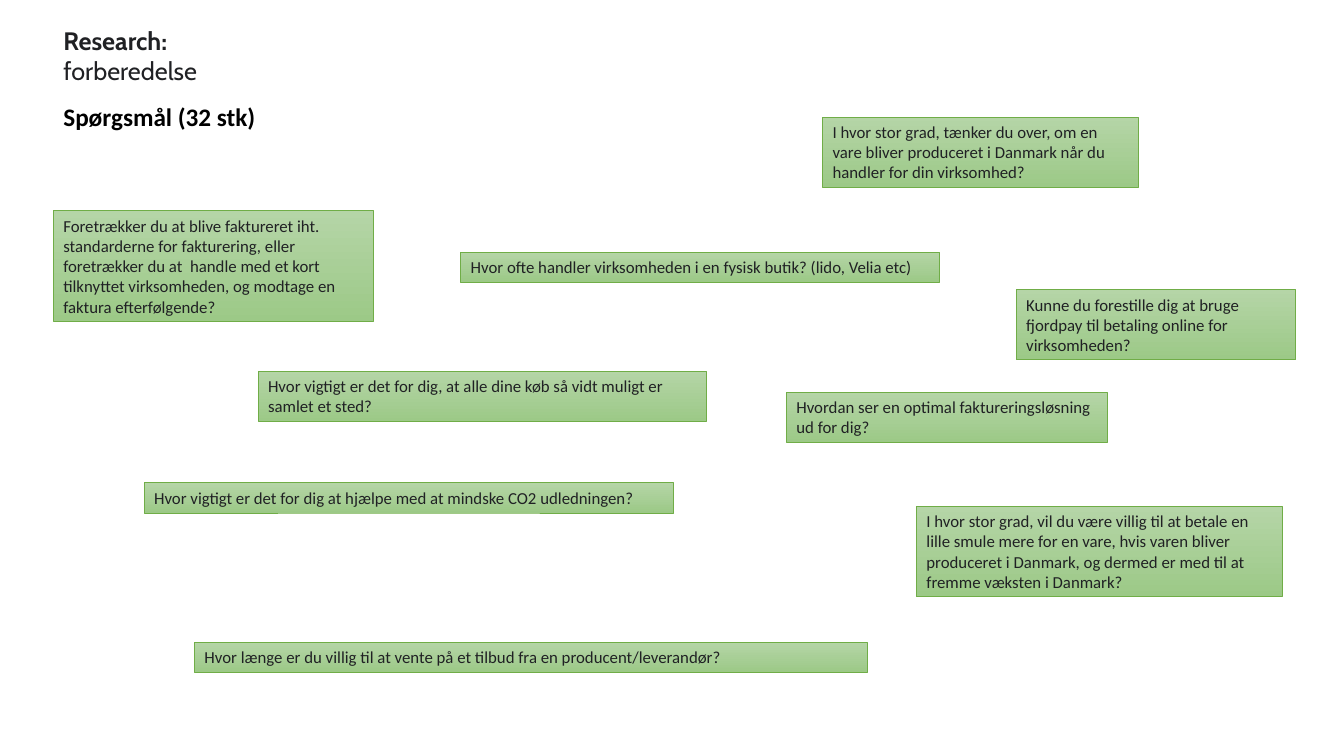
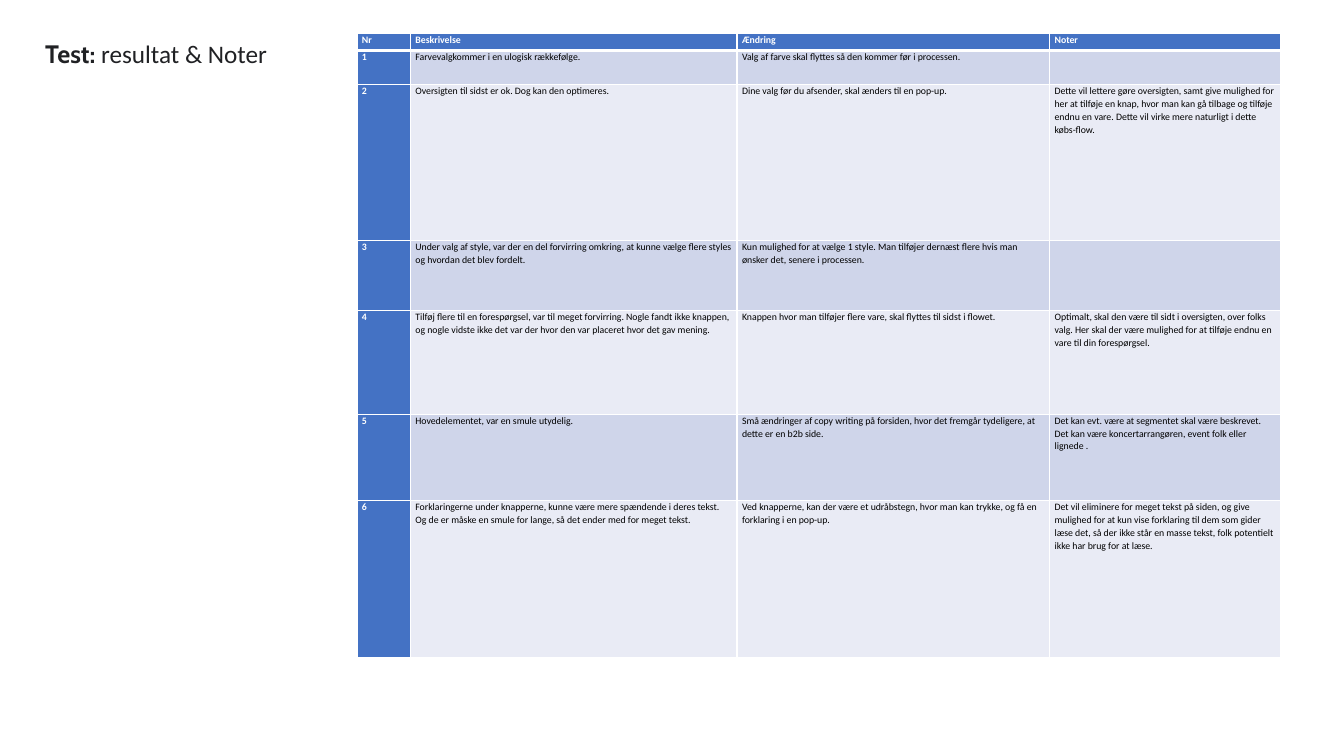
from dataclasses import dataclass

import lxml.etree
import pptx
import pptx.dml.color
import pptx.enum.shapes
import pptx.enum.text
import pptx.oxml.ns
import pptx.util

Inches = pptx.util.Inches
Pt = pptx.util.Pt


@dataclass(frozen=True)
class Theme:
    heading_font: str = "Cabin"
    body_font: str = "Calibri"
    heading_size: float = 18
    question_size: float = 12
    table_size: float = 7
    ink: str = "202124"
    black: str = "000000"
    white: str = "FFFFFF"
    green_top: str = "B5D5A7"
    green_bottom: str = "9CC987"
    green_line: str = "70AD47"
    table_head: str = "4472C4"
    band_dark: str = "CFD5EA"
    band_light: str = "E9EBF5"


THEME = Theme()


def rgb(value):
    return pptx.dml.color.RGBColor.from_string(value)


def write(frame, text, size, color=THEME.ink, font=THEME.body_font, bold=False,
          wrap=True, line_spacing=None, space_after=None):
    """Append text to the frame's first paragraph as one formatted run."""
    frame.word_wrap = wrap
    frame.vertical_anchor = pptx.enum.text.MSO_ANCHOR.TOP
    para = frame.paragraphs[0]
    para.alignment = pptx.enum.text.PP_ALIGN.LEFT
    if line_spacing:
        para.line_spacing = line_spacing
    if space_after:
        para.space_after = Pt(space_after)
    span = para.add_run()
    span.text = text
    span.font.name = font
    span.font.size = Pt(size)
    span.font.bold = bold
    span.font.color.rgb = rgb(color)


deck = pptx.Presentation()
deck.slide_width = Inches(13.33)
deck.slide_height = Inches(7.5)
blank = deck.slide_layouts[6]
question_page = deck.slides.add_slide(blank)
result_page = deck.slides.add_slide(blank)

# Headings: page, left, top, width, height, wrap, runs of (text, font, colour, bold)
headings = [
    (question_page, 0.53, 0.2, 2.4, 0.7, True, [
        ("Research: ", THEME.heading_font, THEME.ink, True),
        ("forberedelse", THEME.heading_font, THEME.ink, False)]),
    (question_page, 0.53, 0.96, 2.12, 0.4, False, [
        ("Spørgsmål (32 stk)", THEME.body_font, THEME.black, True)]),
    (result_page, 0.35, 0.33, 2.44, 0.4, False, [
        ("Test: ", THEME.heading_font, THEME.ink, True),
        ("resultat & Noter", THEME.body_font, THEME.ink, False)]),
]
for page, left, top, width, height, wrap, runs in headings:
    box = page.shapes.add_textbox(Inches(left), Inches(top), Inches(width), Inches(height))
    for text, font, color, bold in runs:
        write(box.text_frame, text, THEME.heading_size, color, font, bold, wrap=wrap)

# Questions: left, top, width, number of text lines, text
questions = [
    (0.53, 2.09, 3.17, 5, "Foretrækker du at blive faktureret iht. standarderne for fakturering, "
     "eller foretrækker du at  handle med et kort tilknyttet virksomheden, "
     "og modtage en faktura efterfølgende?"),
    (7.8, 3.89, 3.18, 2, "Hvordan ser en optimal faktureringsløsning ud for dig?"),
    (10.08, 2.87, 2.77, 3, "Kunne du forestille dig at bruge fjordpay til betaling online "
     "for virksomheden?"),
    (1.43, 4.79, 5.25, 1, "Hvor vigtigt er det for dig at hjælpe med at mindske CO2 udledningen?"),
    (8.16, 1.16, 3.13, 3, "I hvor stor grad, tænker du over, om en vare bliver produceret "
     "i Danmark når du handler for din virksomhed?"),
    (9.09, 5.02, 3.63, 4, "I hvor stor grad, vil du være villig til at betale en lille smule mere "
     "for en vare, hvis varen bliver produceret i Danmark, og dermed er med til at "
     "fremme væksten i Danmark?"),
    (1.93, 6.37, 6.67, 1, "Hvor længe er du villig til at vente på et tilbud fra en "
     "producent/leverandør?"),
    (2.56, 3.68, 4.45, 2, "Hvor vigtigt er det for dig, at alle dine køb så vidt muligt er "
     "samlet et sted?"),
    (4.57, 2.5, 4.75, 1, "Hvor ofte handler virksomheden i en fysisk butik? (lido, Velia etc)"),
]
for left, top, width, lines, text in questions:
    box = question_page.shapes.add_shape(
        pptx.enum.shapes.MSO_SHAPE.RECTANGLE,
        Inches(left), Inches(top), Inches(width), Inches(0.1 + 0.2 * lines))
    box.shadow.inherit = False
    box.fill.gradient()
    box.fill.gradient_angle = 270
    for stop, color in zip(box.fill.gradient_stops, (THEME.green_top, THEME.green_bottom)):
        stop.color.rgb = rgb(color)
    box.line.color.rgb = rgb(THEME.green_line)
    box.line.width = Pt(0.5)
    write(box.text_frame, text, THEME.question_size)

# Test results
column_widths = [0.53, 3.24, 3.1, 2.29]
row_heights = [0.17, 0.34, 1.55, 0.69, 1.03, 0.86, 1.55]
results = [
    ("Nr", "Beskrivelse", "Ændring", "Noter"),
    ("1", "Farvevalgkommer i en ulogisk rækkefølge.",
     "Valg af farve skal flyttes så den kommer før i processen.", ""),
    ("2", "Oversigten til sidst er ok. Dog kan den optimeres.",
     "Dine valg før du afsender, skal ænders til en pop-up.",
     "Dette vil lettere gøre oversigten, samt give mulighed for her at tilføje en knap, "
     "hvor man kan gå tilbage og tilføje endnu en vare. "
     "Dette vil virke mere naturligt i dette købs-flow."),
    ("3", "Under valg af style, var der en del forvirring omkring, at kunne vælge flere styles "
     "og hvordan det blev fordelt.",
     "Kun mulighed for at vælge 1 style. Man tilføjer dernæst flere hvis man ønsker det, "
     "senere i processen.", ""),
    ("4", "Tilføj flere til en forespørgsel, var til meget forvirring. Nogle fandt ikke knappen, "
     "og nogle vidste ikke det var der hvor den var placeret hvor det gav mening.",
     "Knappen hvor man tilføjer flere vare, skal flyttes til sidst i flowet.",
     "Optimalt, skal den være til sidt i oversigten, over folks valg. "
     "Her skal der være mulighed for at tilføje endnu en vare til din forespørgsel."),
    ("5", "Hovedelementet, var en smule utydelig.",
     "Små ændringer af copy writing på forsiden, hvor det fremgår tydeligere, "
     "at dette er en b2b side.",
     "Det kan evt. være at segmentet skal være beskrevet. "
     "Det kan være koncertarrangøren, event folk eller lignede ."),
    ("6", "Forklaringerne under knapperne, kunne være mere spændende i deres tekst. "
     "Og de er måske en smule for lange, så det ender med for meget tekst.",
     "Ved knapperne, kan der være et udråbstegn, hvor man kan trykke, "
     "og få en forklaring i en pop-up.",
     "Det vil eliminere for meget tekst på siden, og give mulighed for at kun vise forklaring "
     "til dem som gider læse det, så der ikke står en masse tekst, "
     "folk potentielt ikke har brug for at læse."),
]
table = result_page.shapes.add_table(
    len(row_heights), len(column_widths), Inches(3.54), Inches(0.33),
    Inches(sum(column_widths)), Inches(sum(row_heights))).table
table.first_col = True
for column, width in zip(table.columns, column_widths):
    column.width = Inches(width)
for row, height in zip(table.rows, row_heights):
    row.height = Inches(height)

qn = pptx.oxml.ns.qn
for row_index, texts in enumerate(results):
    band = THEME.band_dark if row_index % 2 else THEME.band_light
    for column_index, text in enumerate(texts):
        cell = table.cell(row_index, column_index)
        is_head = row_index == 0 or column_index == 0
        cell.margin_left = cell.margin_right = Inches(0.05)
        cell.margin_top = cell.margin_bottom = 0
        properties = cell._tc.get_or_add_tcPr()
        for side in "LRTB":
            below_head = (row_index, side) in ((0, "B"), (1, "T"))
            border = lxml.etree.SubElement(
                properties, qn(f"a:ln{side}"), w=str(Pt(3 if below_head else 1)))
            paint = lxml.etree.SubElement(border, qn("a:solidFill"))
            lxml.etree.SubElement(paint, qn("a:srgbClr"), val=THEME.white)
        cell.fill.solid()
        cell.fill.fore_color.rgb = rgb(THEME.table_head if is_head else band)
        if text:
            write(cell.text_frame, text, THEME.table_size,
                  THEME.white if is_head else THEME.black, bold=is_head,
                  line_spacing=1.07, space_after=8)

deck.save("out.pptx")
